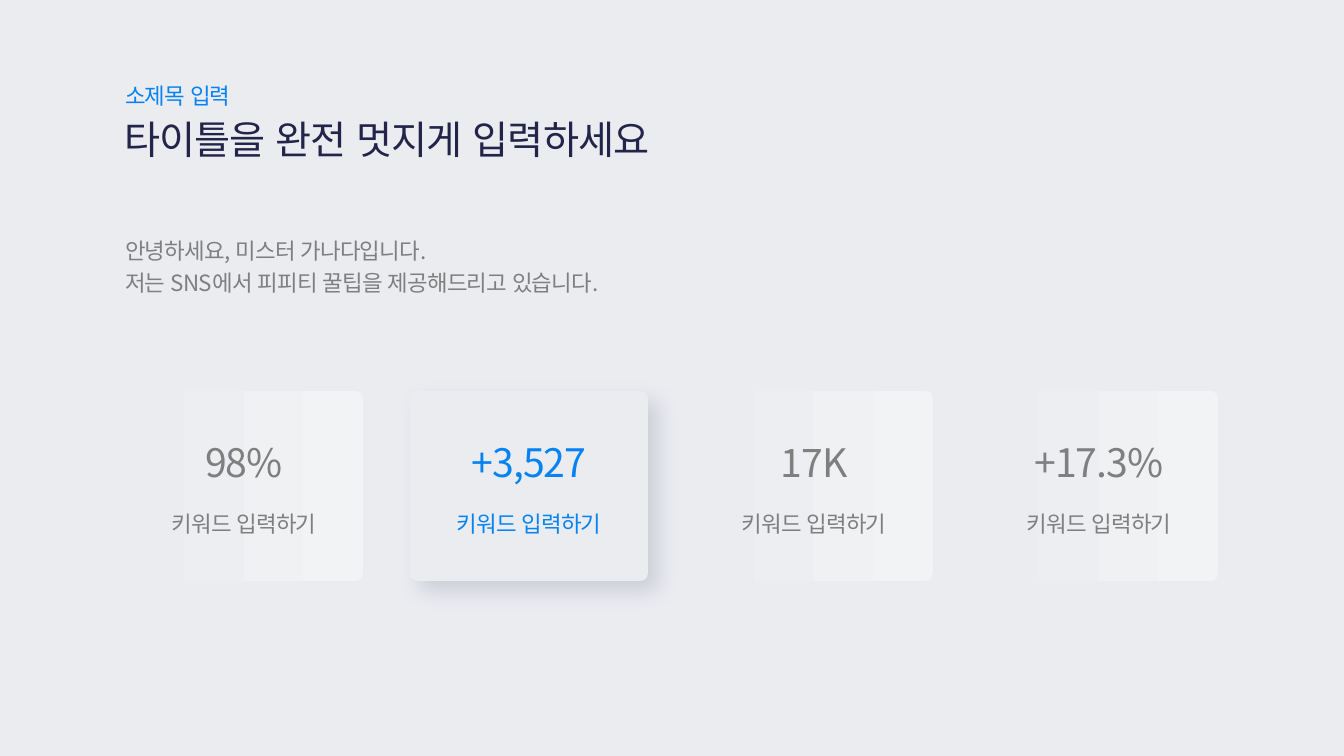
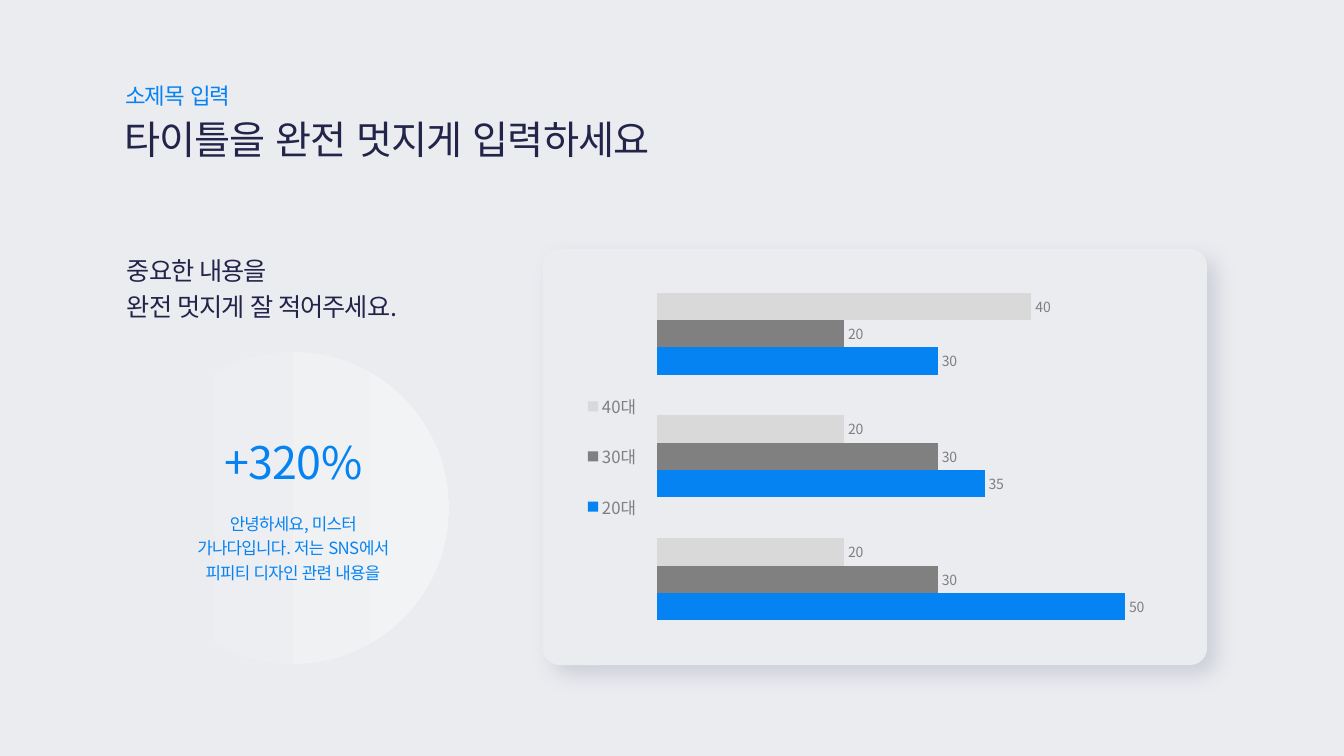
from lxml import etree
from pptx import Presentation
from pptx.chart.data import CategoryChartData
from pptx.dml.color import RGBColor
from pptx.enum.chart import XL_CHART_TYPE as CHART, XL_LABEL_POSITION as LABEL, XL_LEGEND_POSITION as LEGEND
from pptx.enum.lang import MSO_LANGUAGE_ID as LANG
from pptx.enum.shapes import MSO_SHAPE as SHAPE
from pptx.enum.text import PP_ALIGN as ALIGN
from pptx.oxml import parse_xml
from pptx.oxml.ns import nsdecls, qn
from pptx.util import Emu, Pt

FONT = "Noto Sans CJK KR"
BG, BLUE, NAVY, GRAY = "EBECF0", "0583F2", "232449", "7F7F7F"
FADE = (BG, "F2F3F5", 0)
GLOW = (BLUE, "64B5FC", 315)
LEFT, CENTER = ALIGN.LEFT, ALIGN.CENTER


def px(*lengths):
    return [Emu(round(v * 12192000 / 1344)) for v in lengths]


def paint(fill, color):
    """Fill with a hex colour, or with a (start, end, angle) gradient."""
    if isinstance(color, str):
        fill.solid()
        fill.fore_color.rgb = RGBColor.from_string(color)
        return
    *ends, angle = color
    fill.gradient()
    fill.gradient_angle = angle
    for stop, end in zip(fill.gradient_stops, ends):
        stop.color.rgb = RGBColor.from_string(end)


prs = Presentation()
prs.slide_width, prs.slide_height = px(1344, 756)
paint(prs.slide_master.background.fill, BG)
cards_slide, chart_slide = [prs.slides.add_slide(prs.slide_layouts[6]) for _ in range(2)]

# Panels: slide, shape, box, fill, raised
panels = [
    (chart_slide, SHAPE.ROUNDED_RECTANGLE, (543, 249, 664, 416), BG, True),
    (chart_slide, SHAPE.OVAL, (137, 352, 312, 312), FADE, False),
]
# Texts: slide, box, text, size, colour, letter spacing, line spacing, alignment
texts = [
    (cards_slide, (125, 232, 505, 66),
     "안녕하세요, 미스터 가나다입니다.\n저는 SNS에서 피피티 꿀팁을 제공해드리고 있습니다.",
     16, GRAY, -50, 1.2, LEFT),
    (chart_slide, (127, 249, 283, 74), "중요한 내용을\n완전 멋지게 잘 적어주세요.",
     18, NAVY, -70, 1.2, LEFT),
    (chart_slide, (214, 435, 159, 54), "+320%", 32, (BLUE, "64B5FC", 0), -50, 1, CENTER),
    (chart_slide, (193, 510, 200, 72),
     "안녕하세요, 미스터 가나다입니다. 저는 SNS에서 피피티 디자인 관련 내용을",
     12, BLUE, -50, 1.2, CENTER),
]
for s in (cards_slide, chart_slide):
    texts += [
        (s, (125, 82, 111, 27), "소제목 입력", 16, BLUE, -50, 1, LEFT),
        (s, (124, 111, 553, 52), "타이틀을 완전 멋지게 입력하세요", 28, NAVY, -50, 1.1, LEFT),
    ]
for i, number in enumerate(["98%", "+3,527", "17K", "+17.3%"]):
    x, raised = 125 + 285 * i, i == 1
    panels.append((cards_slide, SHAPE.ROUNDED_RECTANGLE, (x, 391, 238, 190),
                   BG if raised else FADE, raised))
    texts += [
        (cards_slide, (x + 42, 438, 154, 47), number, 28, GLOW if raised else GRAY, -70, 1, CENTER),
        (cards_slide, (x + 42, 510, 154, 27), "키워드 입력하기", 16,
         BLUE if raised else GRAY, -50, 1, CENTER),
    ]

for s, kind, box, fill, raised in panels:
    sp = s.shapes.add_shape(kind, *px(*box))
    if kind == SHAPE.ROUNDED_RECTANGLE:
        sp.adjustments[0] = 0.04
    paint(sp.fill, fill)
    sp.line.fill.background()
    sp.shadow.inherit = False
    if raised:
        sp._element.spPr.find(qn("a:effectLst")).append(parse_xml(
            f'<a:outerShdw {nsdecls("a")} blurRad="{Pt(15)}" dist="{Pt(10)}" dir="2700000" '
            'algn="tl" rotWithShape="0"><a:srgbClr val="ACB0C0"><a:alpha val="47000"/>'
            '</a:srgbClr></a:outerShdw>'))

# Bar chart
data = CategoryChartData()
data.categories = ["1", "2", "3"]
series = {"20대": (BLUE, (50, 35, 30)), "30대": ("808080", (30, 30, 20)), "40대": ("D9D9D9", (20, 20, 40))}
for name, (_, values) in series.items():
    data.add_series(name, values)
chart = chart_slide.shapes.add_chart(CHART.BAR_CLUSTERED, *px(552, 257, 667, 399), data).chart
chart.has_title = False
chart.has_legend = True
chart.legend.position = LEGEND.LEFT
chart.legend.include_in_layout = False
chart.category_axis.visible = False
axis = chart.value_axis
for key, value in {"visible": False, "has_major_gridlines": False,
                   "minimum_scale": 0, "maximum_scale": 60}.items():
    setattr(axis, key, value)
plot = chart.plots[0]
plot.gap_width, plot.overlap, plot.vary_by_categories = 150, 0, False
fonts = [(chart.font, 10, "000000"), (chart.legend.font, 12, GRAY)]
for ser, (color, _) in zip(plot.series, series.values()):
    paint(ser.format.fill, color)
    labels = ser.data_labels
    labels.show_value, labels.position = True, LABEL.OUTSIDE_END
    fonts.append((labels.font, 10, GRAY))
for font, size, color in fonts:
    font.name, font.size = FONT, Pt(size)
    paint(font.fill, color)

space = chart._chartSpace
space.find(qn("c:txPr")).addprevious(parse_xml(
    f'<c:spPr {nsdecls("c", "a")}><a:noFill/><a:ln><a:noFill/></a:ln></c:spPr>'))
for tag, index, target, box in [("c:plotArea", 0, "inner", (0.157, 0.038, 0.843, 0.924)),
                                ("c:legend", 1, None, (0.03, 0.28, 0.12, 0.44))]:
    area = space.find(".//" + qn(tag))
    for old in area.findall(qn("c:layout")):
        area.remove(old)
    layout = etree.Element(qn("c:layout"))
    manual = etree.SubElement(layout, qn("c:manualLayout"))
    rules = [("layoutTarget", target)] if target else []
    rules += [("xMode", "edge"), ("yMode", "edge"), *zip("xywh", box)]
    for key, value in rules:
        etree.SubElement(manual, qn("c:" + key)).set("val", str(value))
    area.insert(index, layout)

for s, box, text, size, color, tracking, leading, align in texts:
    tf = s.shapes.add_textbox(*px(*box)).text_frame
    for key, value in {"word_wrap": True, "margin_left": 0, "margin_top": 0,
                       "margin_right": 0, "margin_bottom": 0}.items():
        setattr(tf, key, value)
    for i, line in enumerate(text.split("\n")):
        p = tf.add_paragraph() if i else tf.paragraphs[0]
        p.alignment, p.line_spacing = align, float(leading)
        r = p.add_run()
        r.text = line
        r.font.size, r.font.name, r.font.language_id = Pt(size), FONT, LANG.KOREAN
        paint(r.font.fill, color)
        rPr = r._r.get_or_add_rPr()
        rPr.set("spc", str(tracking))
        etree.SubElement(rPr, qn("a:ea")).set("typeface", FONT)

prs.save("out.pptx")
